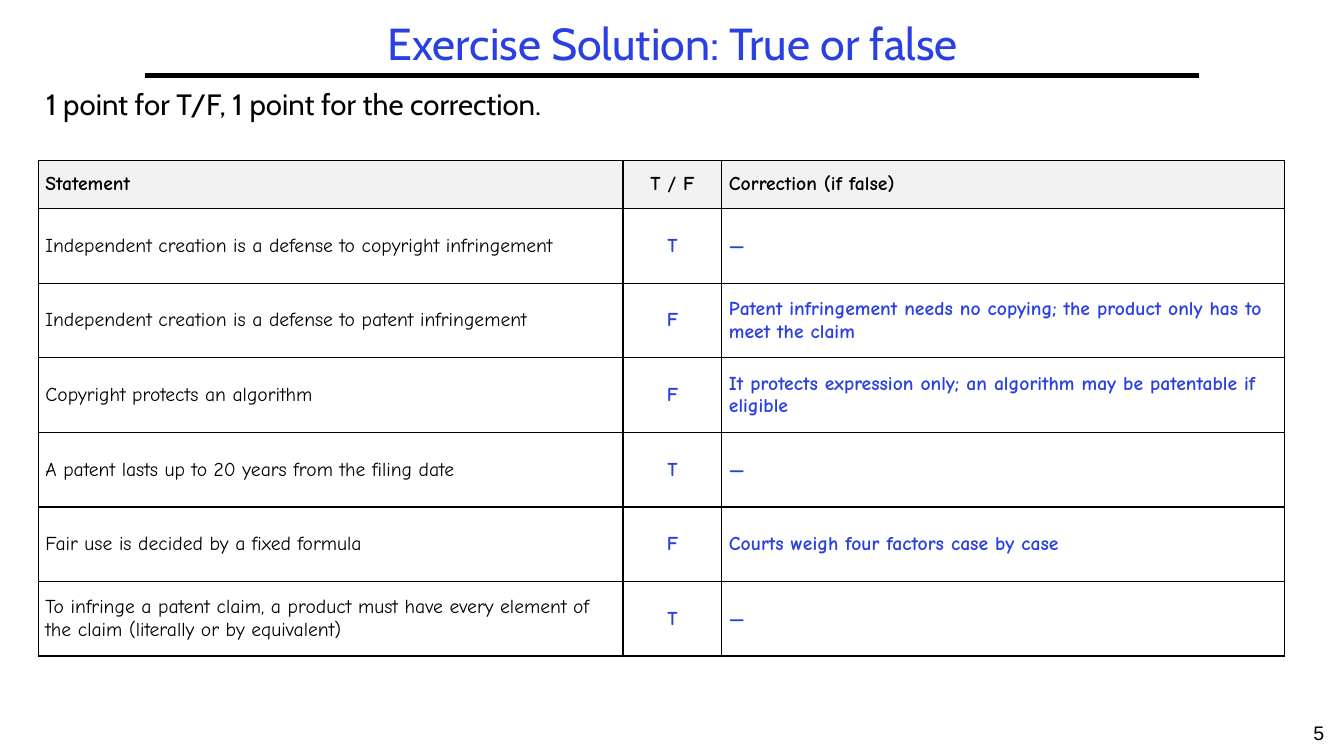
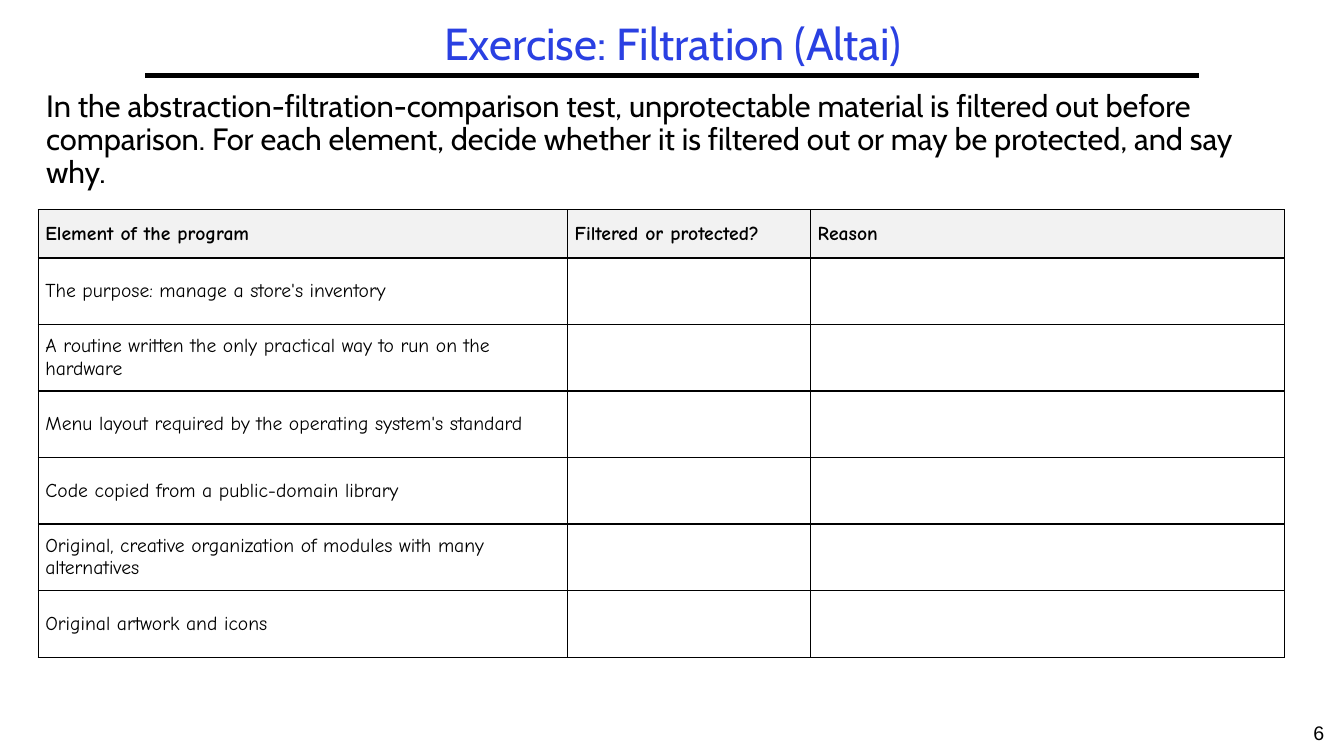
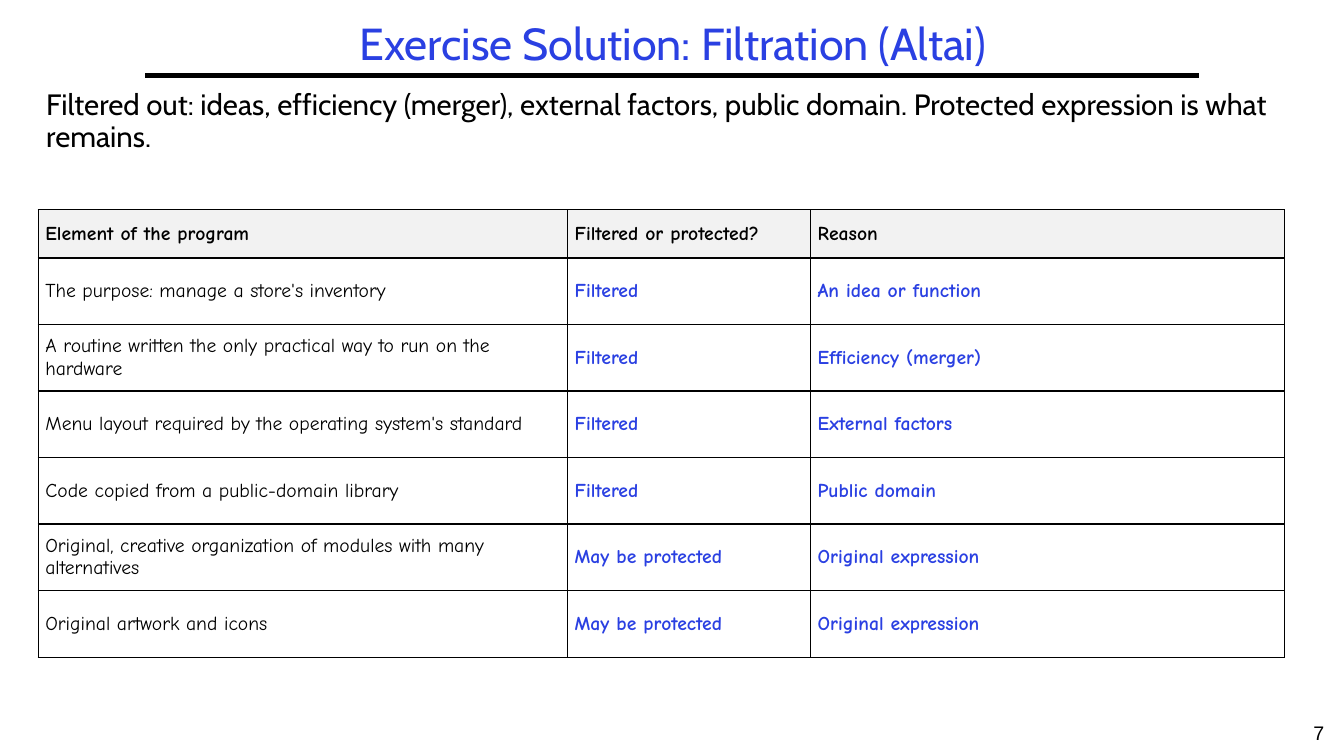
import pptx
import pptx.util
import pptx.dml.color
import pptx.enum.shapes
import pptx.enum.text
import pptx.oxml
import pptx.oxml.ns

Inches = pptx.util.Inches
Align = pptx.enum.text.PP_ALIGN
Anchor = pptx.enum.text.MSO_ANCHOR

COLORS = {"text": "000000", "accent": "2A40E2", "header": "F2F2F2", "page": "FFFFFF"}
HEADING_FONT, TABLE_FONT, NUMBER_FONT = "Cabin", "Comic Neue", "Arial"

TRUE_FALSE = [
    ("Statement", "T / F", "Correction (if false)"),
    ("Independent creation is a defense to copyright infringement", "T", "—"),
    ("Independent creation is a defense to patent infringement", "F",
     "Patent infringement needs no copying; the product only has to meet the claim"),
    ("Copyright protects an algorithm", "F",
     "It protects expression only; an algorithm may be patentable if eligible"),
    ("A patent lasts up to 20 years from the filing date", "T", "—"),
    ("Fair use is decided by a fixed formula", "F", "Courts weigh four factors case by case"),
    ("To infringe a patent claim, a product must have every element of the claim "
     "(literally or by equivalent)", "T", "—"),
]
FILTRATION = [
    ("Element of the program", "Filtered or protected?", "Reason"),
    ("The purpose: manage a store's inventory", "Filtered", "An idea or function"),
    ("A routine written the only practical way to run on the hardware", "Filtered",
     "Efficiency (merger)"),
    ("Menu layout required by the operating system's standard", "Filtered", "External factors"),
    ("Code copied from a public-domain library", "Filtered", "Public domain"),
    ("Original, creative organization of modules with many alternatives", "May be protected",
     "Original expression"),
    ("Original artwork and icons", "May be protected", "Original expression"),
]
FILTRATION_BLANK = FILTRATION[:1] + [(element, "", "") for element, *_ in FILTRATION[1:]]

TRUE_FALSE_GRID = {"top": 1.59, "columns": (5.8, 0.98, 5.58), "row": 0.74, "centered": {1}}
FILTRATION_GRID = {"top": 2.08, "columns": (5.25, 2.41, 4.7), "row": 0.66, "centered": set()}

SLIDES = [
    {"title": "Exercise Solution: True or false",
     "intro": "1 point for T/F, 1 point for the correction.", "intro_size": 21,
     "rows": TRUE_FALSE, "grid": TRUE_FALSE_GRID},
    {"title": "Exercise: Filtration (Altai)",
     "intro": "In the abstraction-filtration-comparison test, unprotectable material is filtered "
              "out before comparison. For each element, decide whether it is filtered out or may "
              "be protected, and say why.", "intro_size": 22,
     "rows": FILTRATION_BLANK, "grid": FILTRATION_GRID},
    {"title": "Exercise Solution: Filtration (Altai)",
     "intro": "Filtered out: ideas, efficiency (merger), external factors, public domain. "
              "Protected expression is what remains.", "intro_size": 21,
     "rows": FILTRATION, "grid": FILTRATION_GRID},
]
FIRST_NUMBER = 5
WIDTH, HEIGHT = 13.33, 7.5
RULE_LEFT, RULE_RIGHT, RULE_TOP = 1.44, 11.89, 0.75
INTRO_TOP = 0.85
TABLE_LEFT, HEADER_HEIGHT = 0.38, 0.48


def color(name):
    return pptx.dml.color.RGBColor.from_string(COLORS[name])


def write(frame, text, font, size, color_name="text", align=Align.LEFT, bold=False, spacing=None):
    paragraph = frame.paragraphs[0]
    paragraph.alignment = align
    if spacing:
        paragraph.line_spacing = spacing
    run = paragraph.add_run()
    run.text = text
    run.font.name = font
    run.font.size = pptx.util.Pt(size)
    run.font.bold = bold
    run.font.color.rgb = color(color_name)


def add_text(slide, box, text, font, size, anchor=Anchor.TOP, **style):
    frame = slide.shapes.add_textbox(*map(Inches, box)).text_frame
    frame.word_wrap = True
    frame.vertical_anchor = anchor
    write(frame, text, font, size, **style)


def add_frame(slide, title, number):
    slide.background.fill.solid()
    slide.background.fill.fore_color.rgb = color("page")
    rule = slide.shapes.add_connector(
        pptx.enum.shapes.MSO_CONNECTOR.STRAIGHT,
        *map(Inches, (RULE_LEFT, RULE_TOP, RULE_RIGHT, RULE_TOP)))
    rule.line.color.rgb = color("text")
    rule.line.width = pptx.util.Pt(3)
    rule._element.spPr.append(pptx.oxml.parse_xml(
        f'<a:effectLst {pptx.oxml.ns.nsdecls("a")}/>'))
    add_text(slide, (WIDTH - 0.5, HEIGHT - 0.4, 0.5, 0.4), str(number), NUMBER_FONT, 14,
             align=Align.CENTER)
    add_text(slide, (RULE_LEFT, 0.17, 10.47, 0.58), title, HEADING_FONT, 32, Anchor.MIDDLE,
             color_name="accent", align=Align.CENTER, spacing=0.9)


def add_borders(cell):
    properties = cell._tc.get_or_add_tcPr()
    for side in "LRTB":
        properties.append(pptx.oxml.parse_xml(
            f'<a:ln{side} {pptx.oxml.ns.nsdecls("a")} w="12700"><a:solidFill>'
            f'<a:srgbClr val="{COLORS["text"]}"/></a:solidFill></a:ln{side}>'))


def add_grid(slide, rows, grid):
    columns = grid["columns"]
    heights = [HEADER_HEIGHT] + [grid["row"]] * (len(rows) - 1)
    table = slide.shapes.add_table(
        len(rows), len(columns),
        *map(Inches, (TABLE_LEFT, grid["top"], sum(columns), sum(heights)))).table
    table.first_row = table.horz_banding = False
    for column, width in zip(table.columns, columns):
        column.width = Inches(width)
    for row_index, (values, height) in enumerate(zip(rows, heights)):
        table.rows[row_index].height = Inches(height)
        for column_index, value in enumerate(values):
            cell = table.cell(row_index, column_index)
            header, answer = row_index == 0, row_index > 0 and column_index > 0
            add_borders(cell)
            if header:
                cell.fill.solid()
                cell.fill.fore_color.rgb = color("header")
            else:
                cell.fill.background()
            cell.vertical_anchor = Anchor.MIDDLE
            cell.margin_left = cell.margin_right = Inches(0.07)
            cell.margin_top = cell.margin_bottom = Inches(0.03)
            if value:
                write(cell.text_frame, value, TABLE_FONT, 14,
                      color_name="accent" if answer else "text",
                      align=Align.CENTER if column_index in grid["centered"] else Align.LEFT,
                      bold=header or answer)


def main():
    presentation = pptx.Presentation()
    presentation.slide_width, presentation.slide_height = Inches(WIDTH), Inches(HEIGHT)
    for number, content in enumerate(SLIDES, FIRST_NUMBER):
        slide = presentation.slides.add_slide(presentation.slide_layouts[6])
        grid = content["grid"]
        add_frame(slide, content["title"], number)
        add_text(slide, (0.36, INTRO_TOP, 12.58, grid["top"] - INTRO_TOP), content["intro"],
                 HEADING_FONT, content["intro_size"], spacing=0.9)
        add_grid(slide, content["rows"], grid)
    presentation.save("out.pptx")


if __name__ == "__main__":
    main()
